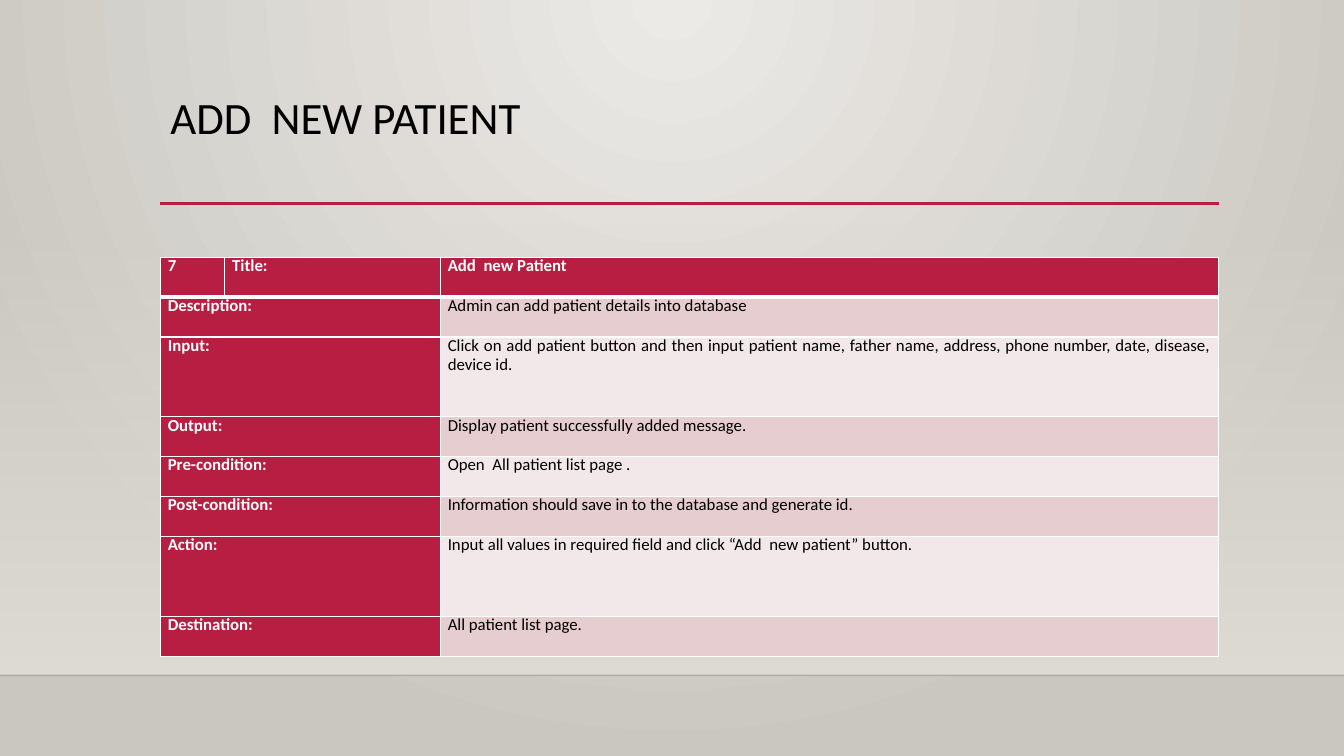
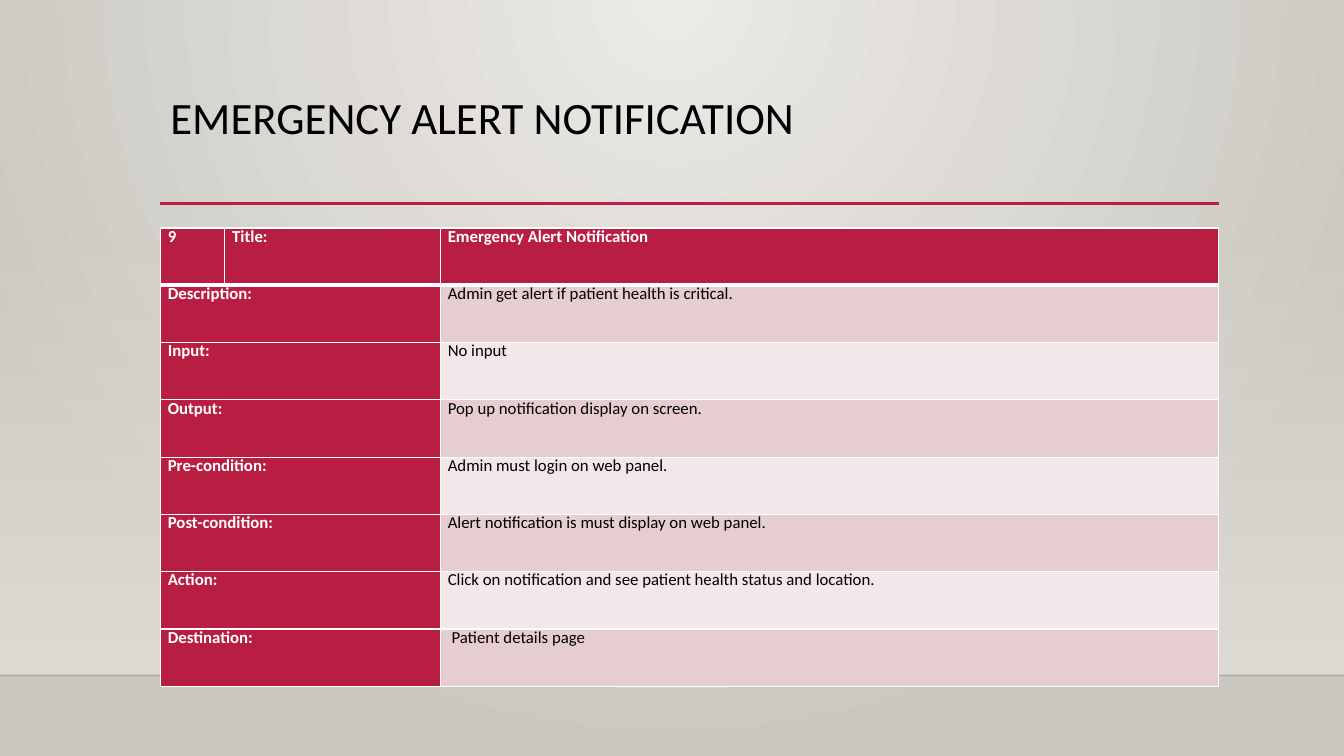
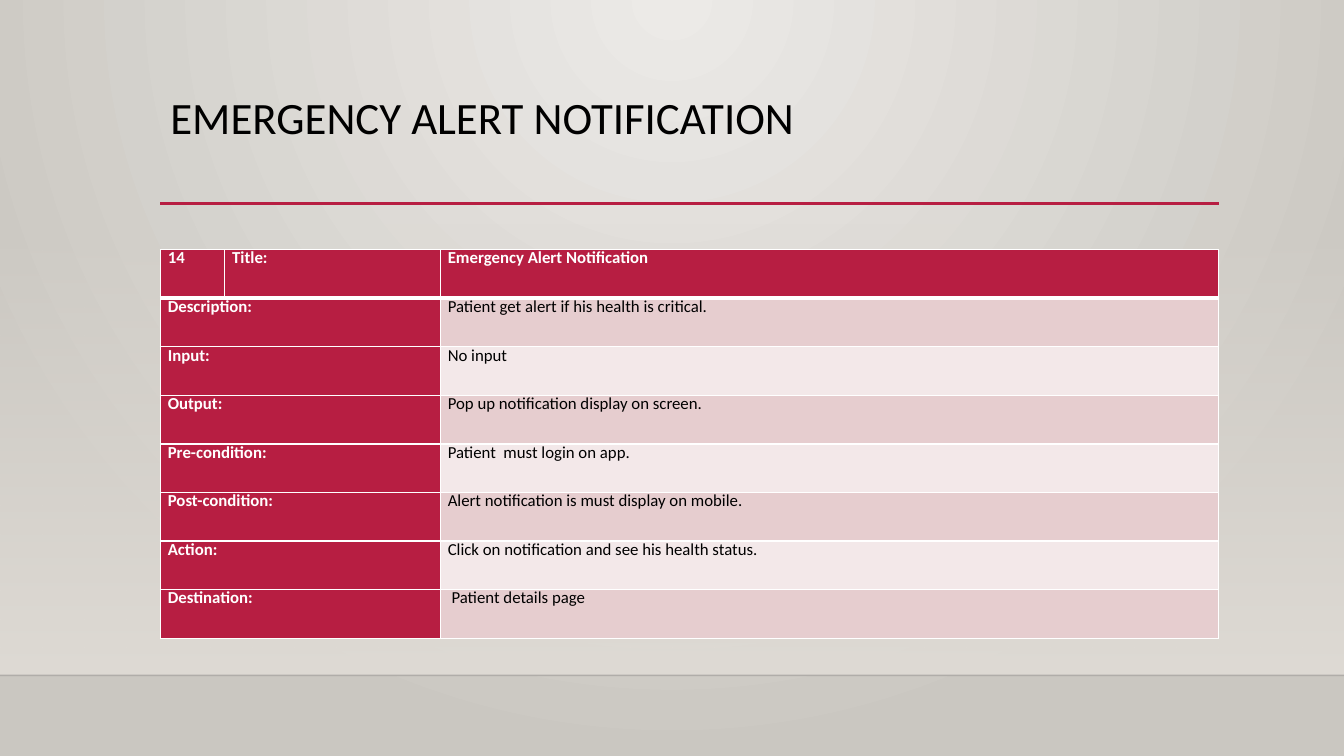
from lxml import etree
from pptx import Presentation
from pptx import util as u
from pptx.dml import color as dml
from pptx.enum import shapes, text
from pptx.oxml import ns

Pt = u.Pt
FONT = "Calibri"
HEX = {
    "red": "B71E42", "rose": "E6CDCF", "blush": "F3E8E9",
    "white": "FFFFFF", "black": "000000", "edge": "000001",
    "pale": "ECEAE7", "grey": "CAC7C1", "sand": "DFDBD5",
}
WIDE, HIGH = 960, 540
LEFT, SPAN = 114.5, 756
FLOOR = 482.4
COLS = (46, 154, 556)
LABELS = ("Title:", "Description:", "Input:", "Output:", "Pre-condition:",
          "Post-condition:", "Action:", "Destination:")

# heading, number, table top, table height, row weights, values
CASES = (
    ("ADD  NEW PATIENT", "7", 183.8, 285, (1, 1, 2, 1, 1, 1, 2, 1), (
        "Add  new Patient",
        "Admin can add patient details into database",
        "Click on add patient button and then input patient name, father name, "
        "address, phone number, date, disease, device id.",
        "Display patient successfully added message.",
        "Open  All patient list page .",
        "Information should save in to the database and generate id.",
        "Input all values in required field and click “Add  new patient” button.",
        "All patient list page.")),
    ("EMERGENCY ALERT NOTIFICATION", "9", 162.8, 327.6, (1,) * 8, (
        "Emergency Alert Notification",
        "Admin get alert if patient health is critical.",
        "No input",
        "Pop up notification display on screen.",
        "Admin must login on web panel.",
        "Alert notification is must display on web panel.",
        "Click on notification and see patient health status and location.",
        " Patient details page")),
    ("EMERGENCY ALERT NOTIFICATION", "14", 178.3, 277.6, (1,) * 8, (
        "Emergency Alert Notification",
        "Patient get alert if his health is critical.",
        "No input",
        "Pop up notification display on screen.",
        "Patient  must login on app.",
        "Alert notification is must display on mobile.",
        "Click on notification and see his health status.",
        " Patient details page")),
)


def rgb(name):
    return dml.RGBColor.from_string(HEX[name])


def sub(node, tag, **attrs):
    return etree.SubElement(node, ns.qn(tag), attrs)


def fade(node, pct):
    """Set the opacity of the first colour under node."""
    tint = next(node.iter(ns.qn("a:srgbClr")))
    sub(tint, "a:alpha", val=str(pct * 1000))


def blend(fill, *names):
    fill.gradient()
    for i, (stop, name) in enumerate(zip(fill.gradient_stops, names)):
        stop.position = i
        stop.color.rgb = rgb(name)


def rule(slide, x, y, width, name, weight):
    line = slide.shapes.add_connector(
        shapes.MSO_CONNECTOR.STRAIGHT, Pt(x), Pt(y), Pt(x + width), Pt(y))
    line.line.color.rgb = rgb(name)
    line.line.width = Pt(weight)
    sub(line.element.spPr, "a:effectLst")
    return line


def paint(layout):
    """Give the layout its round gradient, lightest at the top centre."""
    blend(layout.background.fill, "pale", "grey")
    grad = next(layout.element.iter(ns.qn("a:gradFill")))
    for lin in grad.findall(ns.qn("a:lin")):
        grad.remove(lin)
    ring = sub(grad, "a:path", path="circle")
    sub(ring, "a:fillToRect", l="43000", t="0", r="43000", b="100000")


def frame(layout):
    """Place the layout's title and drop its other placeholders."""
    for hold in list(layout.placeholders):
        if hold.placeholder_format.type != shapes.PP_PLACEHOLDER.TITLE:
            hold.element.getparent().remove(hold.element)
            continue
        hold.left, hold.top = Pt(LEFT), Pt(63.4)
        hold.width, hold.height = Pt(SPAN), Pt(82.6)
        hold.text_frame.vertical_anchor = text.MSO_ANCHOR.TOP
        hold.text_frame.margin_top = Pt(5)


def share(layout, slide):
    """Build the band and rules, then move them to the layout."""
    band = slide.shapes.add_shape(
        shapes.MSO_SHAPE.RECTANGLE, 0, Pt(159), Pt(WIDE), Pt(FLOOR - 159))
    band.shadow.inherit = False
    band.line.fill.background()
    blend(band.fill, "sand", "sand")
    band.fill.gradient_angle = 270
    fade(band.element.spPr, 0)
    edge = rule(slide, 0, FLOOR, WIDE, "edge", 1)
    fade(edge.element.spPr, 20)
    bar = rule(slide, LEFT, 145.4, SPAN, "red", 2.5)
    for item in (band, edge, bar):
        layout.shapes.element.append(item.element)


def write(para, words, size, name, bold=False):
    run = para.add_run()
    run.text = words
    run.font.name, run.font.size = FONT, Pt(size)
    run.font.bold = bold
    run.font.color.rgb = rgb(name)


def head(slide, words):
    para = slide.shapes.title.text_frame.paragraphs[0]
    para.alignment = text.PP_ALIGN.LEFT
    para.line_spacing = 0.9
    write(para, words, 32, "black")


def border(cell, top, base):
    props = cell._tc.get_or_add_tcPr()
    sides = (("L", 1), ("R", 1), ("T", top), ("B", base))
    for i, (side, weight) in enumerate(sides):
        line = sub(props, "a:ln" + side, w=str(Pt(weight)))
        sub(sub(line, "a:solidFill"), "a:srgbClr", val=HEX["white"])
        props.insert(i, line)


def dress(cell, row, col):
    cell.margin_left = cell.margin_right = Pt(5.4)
    cell.margin_top = cell.margin_bottom = 0
    cell.fill.solid()
    shade = "red" if row == 0 or col < 2 else ("blush", "rose")[row % 2]
    cell.fill.fore_color.rgb = rgb(shade)
    border(cell, 3 if row == 1 else 1, 3 if row == 0 else 1)


def enter(cell, words, strong):
    para = cell.text_frame.paragraphs[0]
    para.alignment = text.PP_ALIGN.JUSTIFY
    para.line_spacing, para.space_after = Pt(13.4), Pt(6)
    write(para, words, 12, "white" if strong else "black", strong)


def grid(slide, num, top, height, parts, values):
    table = slide.shapes.add_table(
        len(LABELS), len(COLS), Pt(LEFT), Pt(top), Pt(SPAN), Pt(height)).table
    for col, width in zip(table.columns, COLS):
        col.width = Pt(width)
    for r, (label, value) in enumerate(zip(LABELS, values)):
        table.rows[r].height = Pt(height * parts[r] / sum(parts))
        for c in range(len(COLS)):
            dress(table.cell(r, c), r, c)
        if r == 0:
            enter(table.cell(r, 0), num, True)
            enter(table.cell(r, 1), label, True)
        else:
            table.cell(r, 0).merge(table.cell(r, 1))
            enter(table.cell(r, 0), label, True)
        enter(table.cell(r, 2), value, r == 0)


def main():
    deck = Presentation()
    deck.slide_width, deck.slide_height = Pt(WIDE), Pt(HIGH)
    layout = deck.slide_layouts.get_by_name("Title Only")
    paint(layout)
    frame(layout)
    slides = [deck.slides.add_slide(layout) for case in CASES]
    share(layout, slides[0])
    for slide, (title, *rest) in zip(slides, CASES):
        head(slide, title)
        grid(slide, *rest)
    deck.save("out.pptx")


if __name__ == "__main__":
    main()
